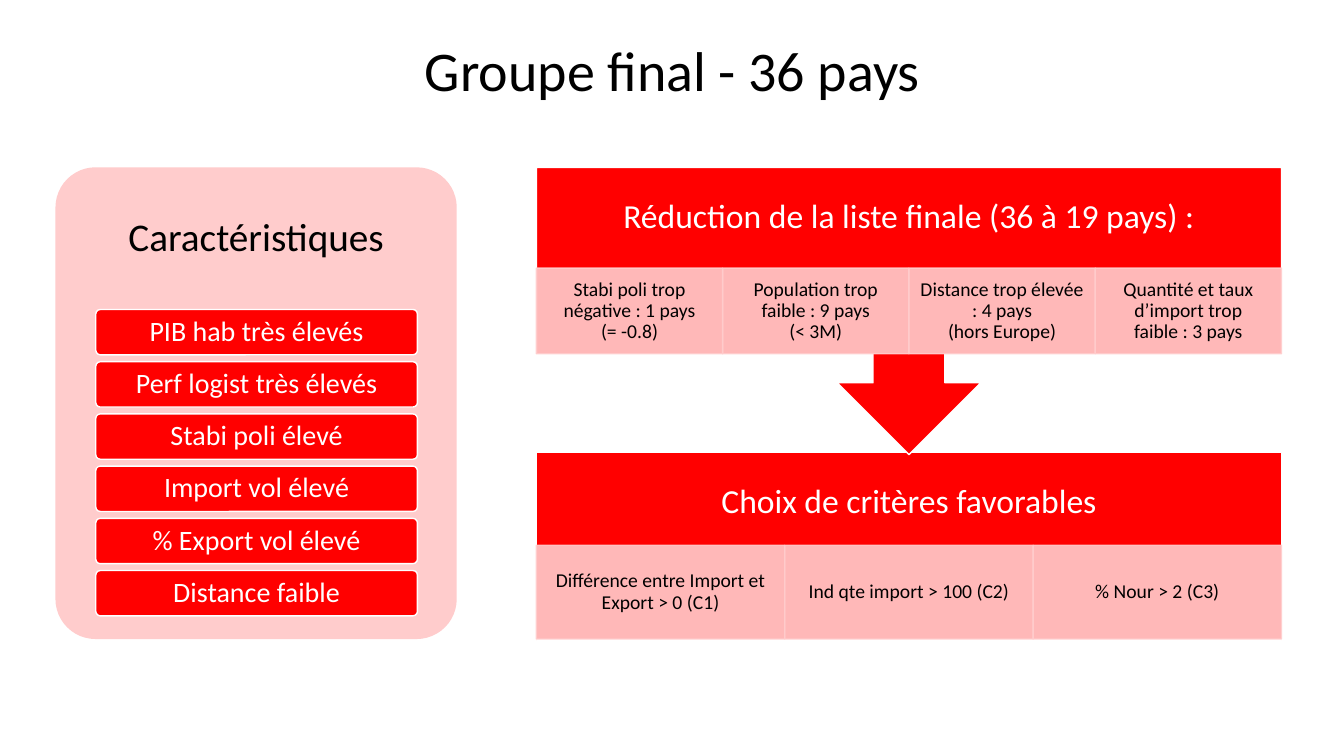
import pptx
import pptx.util
import pptx.dml.color
import pptx.enum.shapes
import pptx.enum.text
import lxml.etree

Inches = pptx.util.Inches
RGBColor = pptx.dml.color.RGBColor
KIND = pptx.enum.shapes.MSO_SHAPE
RED = RGBColor(0xFF, 0x00, 0x00)
PINK = RGBColor(0xFF, 0xCC, 0xCC)
WHITE = RGBColor(0xFF, 0xFF, 0xFF)
BLACK = RGBColor(0x00, 0x00, 0x00)

deck = pptx.Presentation()
deck.slide_width = Inches(13.33)
deck.slide_height = Inches(7.5)
slide = deck.slides.add_slide(deck.slide_layouts[6])


def draw(kind, left, top, width, height, fill, line=None):
    shape = slide.shapes.add_shape(
        kind, Inches(left), Inches(top), Inches(width), Inches(height))
    shape.shadow.inherit = False
    shape.fill.solid()
    shape.fill.fore_color.rgb = fill
    if line is None:
        shape.line.fill.background()
    else:
        shape.line.color.rgb = line
        shape.line.width = pptx.util.Pt(1)
    return shape


def write(text, size, color, box, side=0.1, edge=0.05):
    if isinstance(box, tuple):
        box = slide.shapes.add_textbox(*[Inches(value) for value in box])
    frame = box.text_frame
    frame.text = text
    frame.word_wrap = True
    frame.vertical_anchor = pptx.enum.text.MSO_ANCHOR.MIDDLE
    frame.margin_left = frame.margin_right = Inches(side)
    frame.margin_top = frame.margin_bottom = Inches(edge)
    para = frame.paragraphs[0]
    para.alignment = pptx.enum.text.PP_ALIGN.CENTER
    para.line_spacing = 0.9
    for run in para.runs:
        run.font.size = pptx.util.Pt(size)
        run.font.name = "Calibri"
        run.font.color.rgb = color
    return para


write("Groupe final - 36 pays", 40, BLACK, (0.92, 0.29, 11.5, 0.87))

card = draw(KIND.ROUNDED_RECTANGLE, 0.55, 1.66, 3.98, 4.68, PINK)
card.adjustments[0] = 0.1
write("Caractéristiques", 28, BLACK, (0.55, 1.66, 3.98, 1.41), 0.12, 0.12)

traits = ["PIB hab très élevés", "Perf logist très élevés", "Stabi poli élevé",
          "Import vol élevé", "% Export vol élevé", "Distance faible"]
for row, trait in enumerate(traits):
    pill = draw(KIND.ROUNDED_RECTANGLE, 0.95, 3.07 + row * 0.518, 3.19, 0.45,
                RED, WHITE)
    pill.adjustments[0] = 0.1
    write(trait, 20, WHITE, pill, 0.07)

left, width = 5.32, 7.39
draw(KIND.RECTANGLE, left, 4.49, width, 1.86, RED, WHITE)
arrow = draw(KIND.UP_ARROW_CALLOUT, left, 1.66, width, 2.85, RED, WHITE)
arrow.rotation = 180

steps = [
    ("Réduction de la liste finale (36 à 19 pays) :", 1.66, 2.66, 0.85,
     ["Stabi poli trop négative : 1 pays\v(= -0.8)",
      "Population trop faible : 9 pays\v(< 3M)",
      "Distance trop élevée : 4 pays\v(hors Europe)",
      "Quantité et taux d’import trop faible : 3 pays"]),
    ("Choix de critères favorables", 4.49, 5.41, 0.93,
     ["Différence entre Import et Export > 0 (C1)",
      "Ind qte import > 100 (C2)",
      "% Nour > 2 (C3)"]),
]
for head, top, base, height, notes in steps:
    write(head, 24, WHITE, (left, top, width, 1), 0.19, 0.19)
    part = width / len(notes)
    for col, note in enumerate(notes):
        cell = draw(KIND.RECTANGLE, left + col * part, base, part, height,
                    PINK, PINK)
        for paint in (cell.fill, cell.line.fill):
            tint = paint.fore_color._xFill.find(pptx.oxml.ns.qn("a:srgbClr")) \
                if hasattr(paint.fore_color, "_xFill") else None
        for tint in cell._element.spPr.iter(pptx.oxml.ns.qn("a:srgbClr")):
            alpha = lxml.etree.SubElement(tint, pptx.oxml.ns.qn("a:alpha"))
            alpha.set("val", "90000")
        write(note, 14, BLACK, cell, 0.11, 0.02)

deck.save("out.pptx")
